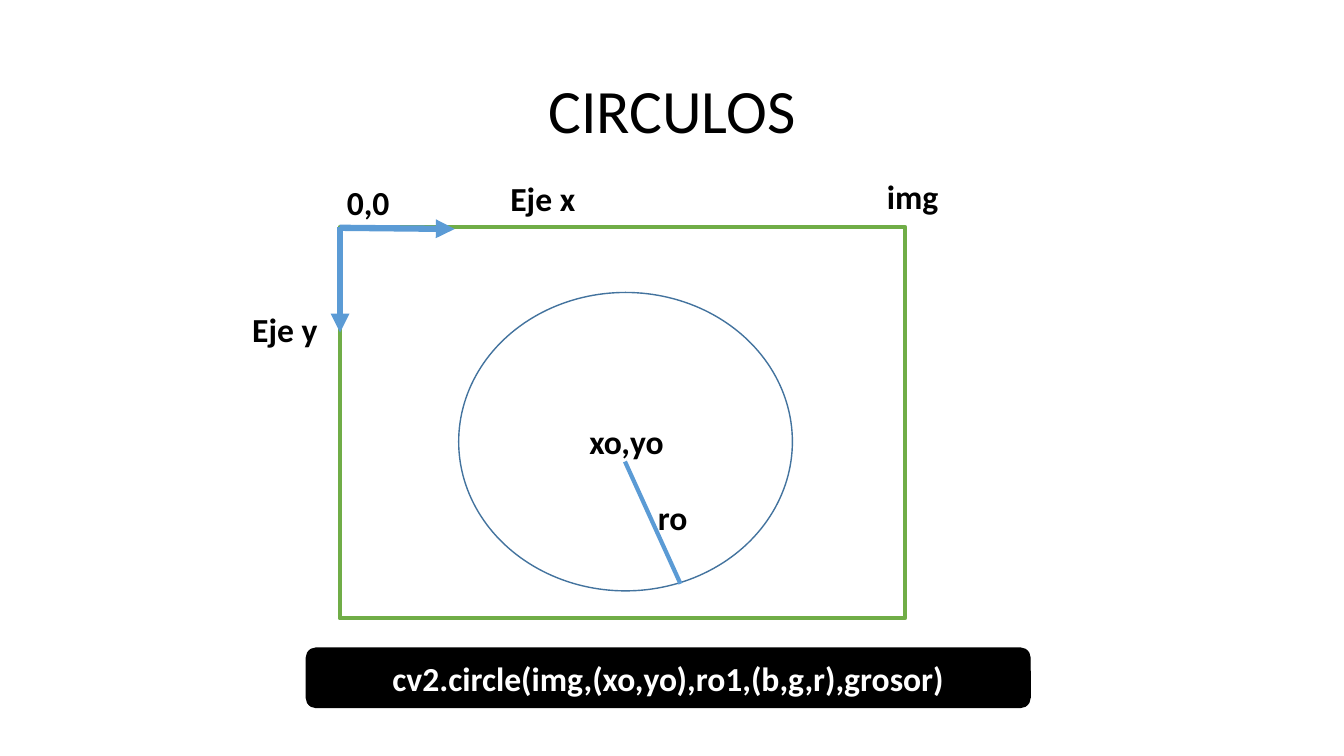
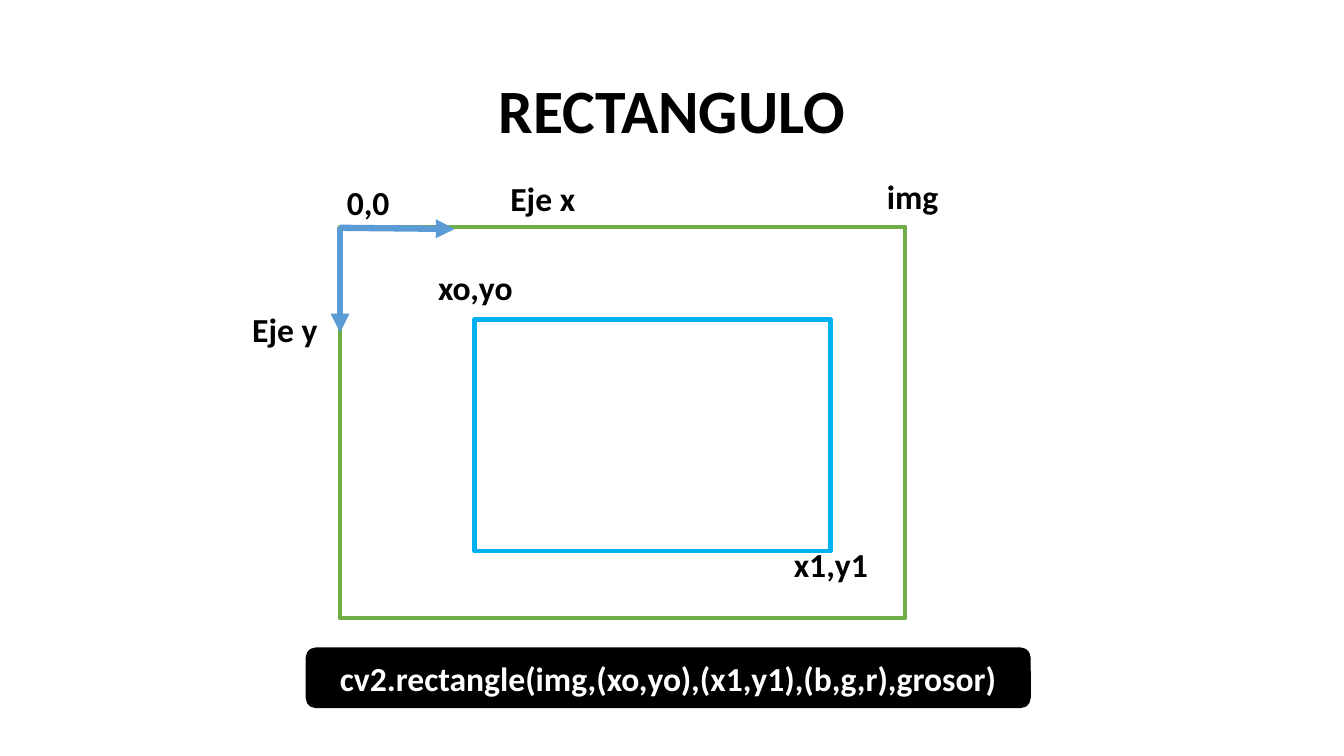
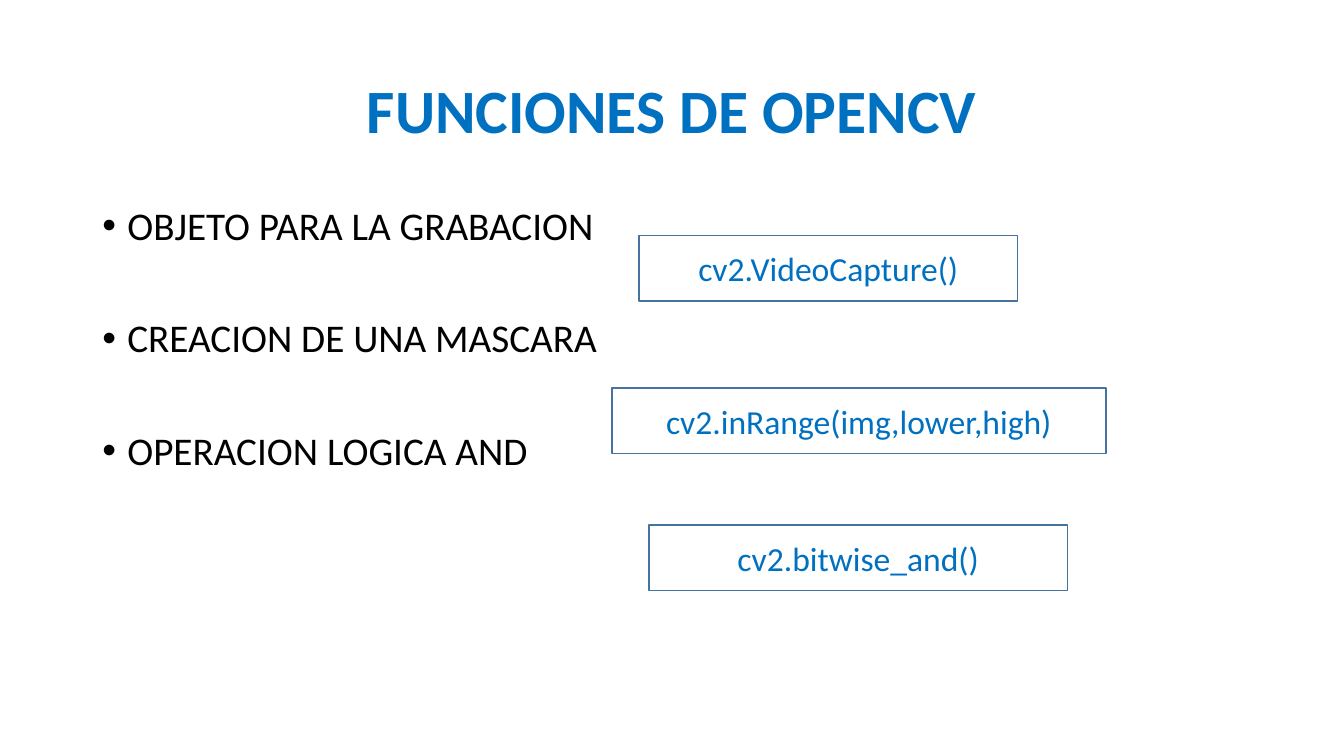
from dataclasses import dataclass
from typing import Optional

from lxml import etree
from pptx import Presentation
from pptx.dml.color import RGBColor
from pptx.enum.shapes import MSO_CONNECTOR, MSO_SHAPE
from pptx.enum.text import MSO_ANCHOR, MSO_AUTO_SIZE, PP_ALIGN
from pptx.oxml.ns import qn
from pptx.presentation import Presentation as Deck
from pptx.shapes.autoshape import Shape
from pptx.slide import Slide
from pptx.text.text import _Paragraph as Paragraph
from pptx.util import Cm, Pt

RECT, ROUNDED, ELLIPSE = MSO_SHAPE.RECTANGLE, MSO_SHAPE.ROUNDED_RECTANGLE, MSO_SHAPE.OVAL
STRAIGHT = MSO_CONNECTOR.STRAIGHT
LEFT, CENTER = PP_ALIGN.LEFT, PP_ALIGN.CENTER
TOP, MIDDLE = MSO_ANCHOR.TOP, MSO_ANCHOR.MIDDLE
NO_AUTOFIT = MSO_AUTO_SIZE.NONE

FONT = "Calibri"
TITLE_SIZE, BODY_SIZE, LABEL_SIZE = 44, 28, 24
COLORS = {
    "black": "000000",
    "white": "FFFFFF",
    "green": "70AD47",
    "axis": "5B9BD5",
    "outline": "43739E",
    "cyan": "00B0F0",
    "blue": "0070C0",
}
TITLE_ONLY = 5


# All lengths below are in centimetres, line widths in points.
@dataclass(frozen=True)
class Area:
    left: float
    top: float
    width: float
    height: float


@dataclass(frozen=True)
class Style:
    fill: Optional[str] = None
    line: Optional[str] = None
    line_width: float = 1
    text: str = "black"
    bold: bool = False


@dataclass(frozen=True)
class Label:
    text: str
    left: float
    top: float


@dataclass(frozen=True)
class Segment:
    start: tuple[float, float]
    end: tuple[float, float]
    width: float
    arrow: bool = False


@dataclass(frozen=True)
class Drawing:
    """A slide that explains how one figure is drawn on an image."""
    title: str
    bold_title: bool
    figure: int
    figure_area: Area
    figure_style: Style
    labels: tuple[Label, ...]
    code: str
    segments: tuple[Segment, ...] = ()


@dataclass(frozen=True)
class FunctionBox:
    code: str
    left: float
    top: float
    width: float


# Shared layout
TITLE_AREA = Area(2.33, 1.01, 29.21, 3.68)
IMAGE_AREA = Area(8.56, 5.72, 14.25, 9.86)
CODE_AREA = Area(7.72, 16.33, 18.24, 1.5)
LIST_AREA = Area(2.33, 5.08, 29.21, 12.09)
LABEL_WIDTH, LABEL_HEIGHT = 2.82, 1.52
FUNCTION_HEIGHT = 1.65

IMAGE_STYLE = Style(fill="white", line="green", line_width=3)
LABEL_STYLE = Style(bold=True)
CODE_STYLE = Style(fill="black", line="black", text="white", bold=True)
FUNCTION_STYLE = Style(fill="white", line="outline", text="blue")

AXES = (
    Segment((8.57, 5.72), (8.57, 8.38), 4.5, arrow=True),
    Segment((8.56, 5.74), (11.46, 5.77), 4.5, arrow=True),
)
AXIS_LABELS = (
    Label("0,0", 7.87, 4.32),
    Label("Eje x", 12.27, 4.22),
    Label("Eje y", 5.77, 7.52),
    Label("img", 21.59, 4.19),
)

# Slide content
DRAWINGS = (
    Drawing(
        "CIRCULOS", False,
        ELLIPSE, Area(11.56, 7.37, 8.41, 7.52), Style(line="outline"),
        (Label("xo,yo", 14.38, 10.36), Label("ro", 15.54, 12.27)),
        "cv2.circle(img,(xo,yo),ro1,(b,g,r),grosor)",
        (Segment((15.75, 11.63), (17.15, 14.71), 3),),
    ),
    Drawing(
        "RECTANGULO", True,
        RECT, Area(11.96, 8.05, 8.97, 5.84), Style(line="cyan", line_width=3),
        (Label("xo,yo", 10.57, 6.48), Label("x1,y1", 19.53, 13.46)),
        "cv2.rectangle(img,(xo,yo),(x1,y1),(b,g,r),grosor)",
    ),
)
TOPICS = ("OBJETO PARA LA GRABACION", "CREACION DE UNA MASCARA", "OPERACION LOGICA AND")
FUNCTIONS = (
    FunctionBox("cv2.VideoCapture()", 16.1, 5.94, 9.55),
    FunctionBox("cv2.inRange(img,lower,high)", 15.42, 9.78, 12.45),
    FunctionBox("cv2.bitwise_and()", 16.36, 13.23, 10.54),
)


def rgb(name: str) -> RGBColor:
    return RGBColor.from_string(COLORS[name])


def measures(area: Area) -> tuple[Cm, Cm, Cm, Cm]:
    return Cm(area.left), Cm(area.top), Cm(area.width), Cm(area.height)


def format_paragraph(para: Paragraph, size: float, color: str, bold: bool = False,
                     align: PP_ALIGN = CENTER) -> None:
    para.alignment = align
    para.font.name = FONT
    para.font.size = Pt(size)
    para.font.bold = bold
    para.font.color.rgb = rgb(color)


def add_titled_slide(deck: Deck, text: str, color: str = "black", bold: bool = True) -> Slide:
    slide = deck.slides.add_slide(deck.slide_layouts[TITLE_ONLY])
    title = slide.shapes.title
    title.left, title.top, title.width, title.height = measures(TITLE_AREA)
    frame = title.text_frame
    frame.text = text
    frame.auto_size = NO_AUTOFIT
    frame.vertical_anchor = MIDDLE
    para = frame.paragraphs[0]
    format_paragraph(para, TITLE_SIZE, color, bold)
    para.line_spacing = 0.9
    return slide


def add_box(slide: Slide, kind: int, area: Area, style: Style, text: str = "") -> Shape:
    box = slide.shapes.add_shape(kind, *measures(area))
    box.shadow.inherit = False
    if style.fill:
        box.fill.solid()
        box.fill.fore_color.rgb = rgb(style.fill)
    else:
        box.fill.background()
    if style.line:
        box.line.color.rgb = rgb(style.line)
        box.line.width = Pt(style.line_width)
    else:
        box.line.fill.background()
    if text:
        frame = box.text_frame
        frame.text = text
        frame.word_wrap = True
        frame.vertical_anchor = MIDDLE
        format_paragraph(frame.paragraphs[0], LABEL_SIZE, style.text, style.bold)
    return box


def add_label(slide: Slide, label: Label) -> None:
    area = Area(label.left, label.top, LABEL_WIDTH, LABEL_HEIGHT)
    add_box(slide, ROUNDED, area, LABEL_STYLE, label.text)


def add_segment(slide: Slide, segment: Segment) -> None:
    ends = [Cm(value) for value in segment.start + segment.end]
    connector = slide.shapes.add_connector(STRAIGHT, *ends)
    connector.line.color.rgb = rgb("axis")
    connector.line.width = Pt(segment.width)
    if segment.arrow:
        line = connector.line._get_or_add_ln()
        etree.SubElement(line, qn("a:tailEnd"), type="triangle")
    etree.SubElement(connector._element.spPr, qn("a:effectLst"))


def add_bullet(para: Paragraph) -> None:
    properties = para._p.get_or_add_pPr()
    properties.set("marL", str(Cm(0.63)))
    properties.set("indent", str(-Cm(0.63)))
    etree.SubElement(properties, qn("a:buFont"), typeface="Arial")
    etree.SubElement(properties, qn("a:buChar"), char="•")
    # Default run properties must follow the bullet in the schema order.
    defaults = properties.find(qn("a:defRPr"))
    if defaults is not None:
        properties.append(defaults)


def add_bullet_list(slide: Slide, items: tuple[str, ...]) -> None:
    frame = slide.shapes.add_textbox(*measures(LIST_AREA)).text_frame
    frame.word_wrap = True
    frame.vertical_anchor = TOP
    frame.text = "\n".join(items)
    for para in frame.paragraphs:
        format_paragraph(para, BODY_SIZE, "black", align=LEFT)
        para.line_spacing = 0.9
        para.space_after = Pt(50)
        add_bullet(para)


def build_drawing_slide(deck: Deck, drawing: Drawing) -> None:
    slide = add_titled_slide(deck, drawing.title, bold=drawing.bold_title)
    add_box(slide, RECT, IMAGE_AREA, IMAGE_STYLE)
    add_box(slide, drawing.figure, drawing.figure_area, drawing.figure_style)
    for segment in AXES + drawing.segments:
        add_segment(slide, segment)
    for label in AXIS_LABELS + drawing.labels:
        add_label(slide, label)
    add_box(slide, ROUNDED, CODE_AREA, CODE_STYLE, drawing.code)


def build_functions_slide(deck: Deck) -> None:
    slide = add_titled_slide(deck, "FUNCIONES DE OPENCV", "blue")
    add_bullet_list(slide, TOPICS)
    for function in FUNCTIONS:
        area = Area(function.left, function.top, function.width, FUNCTION_HEIGHT)
        add_box(slide, RECT, area, FUNCTION_STYLE, function.code)


def main() -> None:
    deck = Presentation()
    deck.slide_width, deck.slide_height = Cm(33.87), Cm(19.05)
    for drawing in DRAWINGS:
        build_drawing_slide(deck, drawing)
    build_functions_slide(deck)
    deck.save("out.pptx")


if __name__ == "__main__":
    main()
